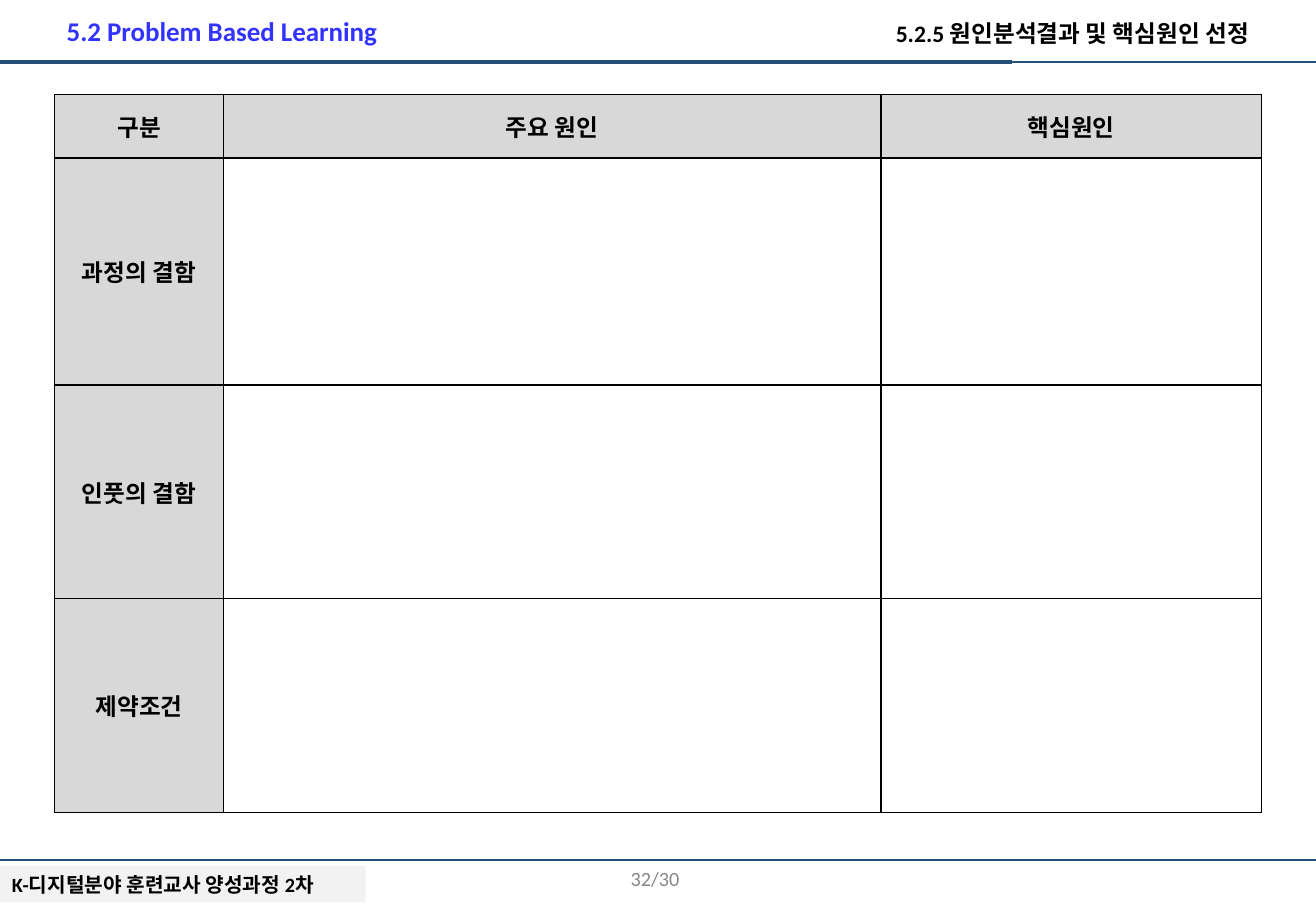
from dataclasses import dataclass

from lxml.etree import SubElement
from pptx import Presentation
from pptx.dml.color import RGBColor
from pptx.enum.shapes import MSO_CONNECTOR, MSO_SHAPE
from pptx.enum.text import MSO_ANCHOR, PP_ALIGN
from pptx.oxml.ns import qn
from pptx.util import Inches, Pt


@dataclass(frozen=True)
class Theme:
    font: str = "Calibri"
    table_font: str = "Arial"
    ink: str = "000000"
    accent: str = "3333FF"
    rule: str = "244F7A"
    muted: str = "888888"
    header: str = "D8D8D8"
    footer: str = "F2F2F2"
    title: int = 16
    body: int = 14
    small: int = 12


THEME = Theme()


@dataclass(frozen=True)
class Rule:
    y: float
    length: float
    weight: float


@dataclass(frozen=True)
class Label:
    text: str
    left: float
    top: float
    width: float
    height: float
    size: int
    color: str = THEME.ink
    bold: bool = True
    align: PP_ALIGN = PP_ALIGN.LEFT
    anchor: MSO_ANCHOR = MSO_ANCHOR.TOP
    fill: str = ""


WIDTH, HEIGHT = 10.83, 7.5
RULES = [Rule(0.51, WIDTH, 0.75), Rule(0.51, 8.33, 2.5), Rule(7.08, WIDTH, 0.75)]
LABELS = [
    Label("K-디지털분야 훈련교사 양성과정 2차", 0, 7.13, 3.01, 0.3, THEME.small,
          anchor=MSO_ANCHOR.MIDDLE, fill=THEME.footer),
    Label("5.2.5 원인분석결과 및 핵심원인 선정", 6.91, 0.11, 3.47, 0.34, THEME.body,
          align=PP_ALIGN.RIGHT),
    Label("5.2 Problem Based Learning", 0.45, 0.07, 3.29, 0.37, THEME.title, THEME.accent),
    Label("32/30", 3.25, 7.03, 2.44, 0.4, THEME.small, THEME.muted, False,
          PP_ALIGN.RIGHT, MSO_ANCHOR.MIDDLE),
]
COLUMNS = [1.39, 5.41, 3.13]
ROWS = [0.52, 1.87, 1.76, 1.76]
CELLS = [
    ["구분", "주요 원인", "핵심원인"],
    ["과정의 결함", "", ""],
    ["인풋의 결함", "", ""],
    ["제약조건", "", ""],
]


def style(p, font: str, size: int, color: str, bold: bool, align: PP_ALIGN) -> None:
    p.alignment = align
    p.font.name = font
    p.font.size = Pt(size)
    p.font.bold = bold
    p.font.color.rgb = RGBColor.from_string(color)


def draw_rule(s, rule: Rule) -> None:
    y = Inches(rule.y)
    line = s.shapes.add_connector(MSO_CONNECTOR.STRAIGHT, 0, y, Inches(rule.length), y)
    line.line.color.rgb = RGBColor.from_string(THEME.rule)
    line.line.width = Pt(rule.weight)
    SubElement(line._element.spPr, qn("a:effectLst"))


def draw_label(s, label: Label) -> None:
    box = [Inches(v) for v in (label.left, label.top, label.width, label.height)]
    if label.fill:
        sp = s.shapes.add_shape(MSO_SHAPE.RECTANGLE, *box)
        sp.shadow.inherit = False
        sp.fill.solid()
        sp.fill.fore_color.rgb = RGBColor.from_string(label.fill)
        sp.line.fill.background()
    else:
        sp = s.shapes.add_textbox(*box)
    tf = sp.text_frame
    tf.word_wrap = True
    tf.vertical_anchor = label.anchor
    tf.text = label.text
    style(tf.paragraphs[0], THEME.font, label.size, label.color, label.bold, label.align)


def add_borders(cell) -> None:
    tcPr = cell._tc.get_or_add_tcPr()
    for i, side in enumerate(("lnL", "lnR", "lnT", "lnB")):
        ln = tcPr.makeelement(qn(f"a:{side}"), {"w": str(Pt(1))})
        SubElement(SubElement(ln, qn("a:solidFill")), qn("a:srgbClr"), val=THEME.ink)
        tcPr.insert(i, ln)


def draw_table(s) -> None:
    table = s.shapes.add_table(len(ROWS), len(COLUMNS), Inches(0.45), Inches(0.78),
                               Inches(sum(COLUMNS)), Inches(sum(ROWS))).table
    table.first_row = table.horz_banding = False
    for column, width in zip(table.columns, COLUMNS):
        column.width = Inches(width)
    for row, height, texts in zip(table.rows, ROWS, CELLS):
        row.height = Inches(height)
        for cell, text in zip(row.cells, texts):
            if text:
                cell.text = text
                cell.vertical_anchor = MSO_ANCHOR.MIDDLE
                style(cell.text_frame.paragraphs[0], THEME.table_font, THEME.body,
                      THEME.ink, True, PP_ALIGN.CENTER)
                cell.fill.solid()
                cell.fill.fore_color.rgb = RGBColor.from_string(THEME.header)
            else:
                cell.fill.background()
            add_borders(cell)


def main() -> None:
    prs = Presentation()
    prs.slide_width, prs.slide_height = Inches(WIDTH), Inches(HEIGHT)
    s = prs.slides.add_slide(prs.slide_layouts[6])
    for rule in RULES:
        draw_rule(s, rule)
    draw_table(s)
    for label in LABELS:
        draw_label(s, label)
    prs.save("out.pptx")


if __name__ == "__main__":
    main()
